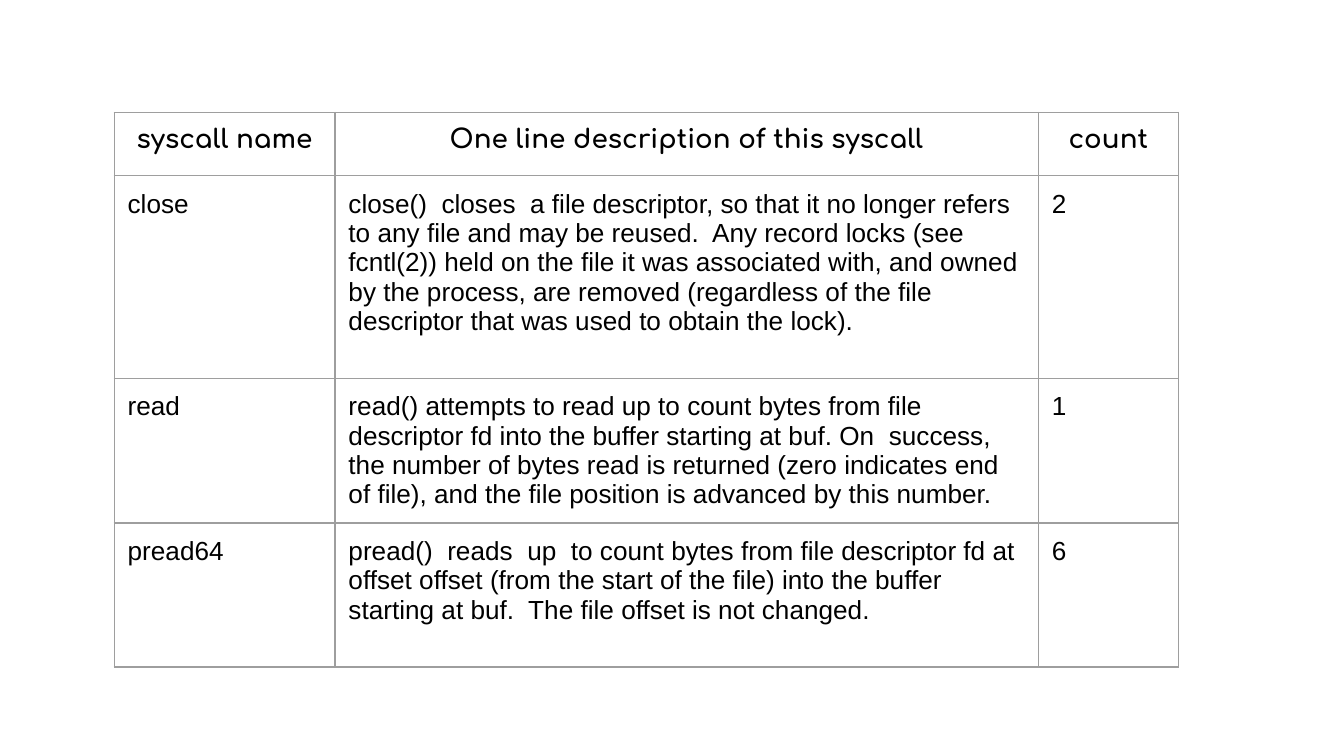
from lxml.etree import SubElement as Sub
from pptx import Presentation
from pptx.dml.color import RGBColor as RGB
from pptx.enum.text import PP_ALIGN as Align
from pptx.oxml.ns import qn
from pptx.util import Pt

HUE = {"ink": "000000", "line": "9E9E9E", "back": "FFFFFF"}
PAD = {f"margin_{side}": Pt(7.2) for side in ("left", "right", "top", "bottom")}
HEAD = {"name": "Comfortaa", "size": Pt(14), "bold": True}
BODY = {"name": "Arial", "size": Pt(14), "bold": False}
COLS = [118.3, 376.8, 75]
ROWS = [34, 108.7, 77.1, 77.1]
DATA = [
    ("syscall name", "One line description of this syscall", "count"),
    ("close",
     "close()  closes  a file descriptor, so that it no longer refers to any file "
     "and may be reused.  Any record locks (see fcntl(2)) held on the file it was "
     "associated with, and owned by the process, are removed (regardless of the "
     "file descriptor that was used to obtain the lock).",
     "2"),
    ("read",
     "read() attempts to read up to count bytes from file descriptor fd into the "
     "buffer starting at buf. On  success, the number of bytes read is returned "
     "(zero indicates end of file), and the file position is advanced by this number.",
     "1"),
    ("pread64",
     "pread()  reads  up  to count bytes from file descriptor fd at offset offset "
     "(from the start of the file) into the buffer starting at buf.  The file "
     "offset is not changed.",
     "6"),
]


def apply(item, style):
    for key, value in style.items():
        setattr(item, key, value)


def add_edges(cell):
    props = cell._tc.get_or_add_tcPr()
    for spot, side in enumerate("LRTB"):
        edge = props.makeelement(qn(f"a:ln{side}"), {"w": str(Pt(0.75))})
        fill = Sub(edge, qn("a:solidFill"))
        Sub(fill, qn("a:srgbClr"), val=HUE["line"])
        props.insert(spot, edge)


def fill_cell(cell, text, style, align):
    apply(cell, PAD)
    cell.fill.solid()
    cell.fill.fore_color.rgb = RGB.from_string(HUE["back"])
    add_edges(cell)
    para = cell.text_frame.paragraphs[0]
    para.alignment = align
    run = para.add_run()
    run.text = text
    apply(run.font, style)
    run.font.color.rgb = RGB.from_string(HUE["ink"])


def add_calls(slide, left, top, width, height):
    frame = slide.shapes.add_table(
        len(ROWS), len(COLS), Pt(left), Pt(top), Pt(width), Pt(height))
    table = frame.table
    apply(table, {"first_row": False, "horz_banding": False})
    for col, part in zip(table.columns, COLS):
        col.width = Pt(width * part / sum(COLS))
    for row, part in zip(table.rows, ROWS):
        row.height = Pt(height * part / sum(ROWS))
    for r, words in enumerate(DATA):
        style, align = (BODY, Align.LEFT) if r else (HEAD, Align.CENTER)
        for c, text in enumerate(words):
            fill_cell(table.cell(r, c), text, style, align)


def main():
    deck = Presentation()
    apply(deck, {"slide_width": Pt(720), "slide_height": Pt(405)})
    slide = deck.slides.add_slide(deck.slide_layouts[6])
    add_calls(slide, 61.2, 60.2, sum(COLS), sum(ROWS))
    deck.save("out.pptx")


if __name__ == "__main__":
    main()
